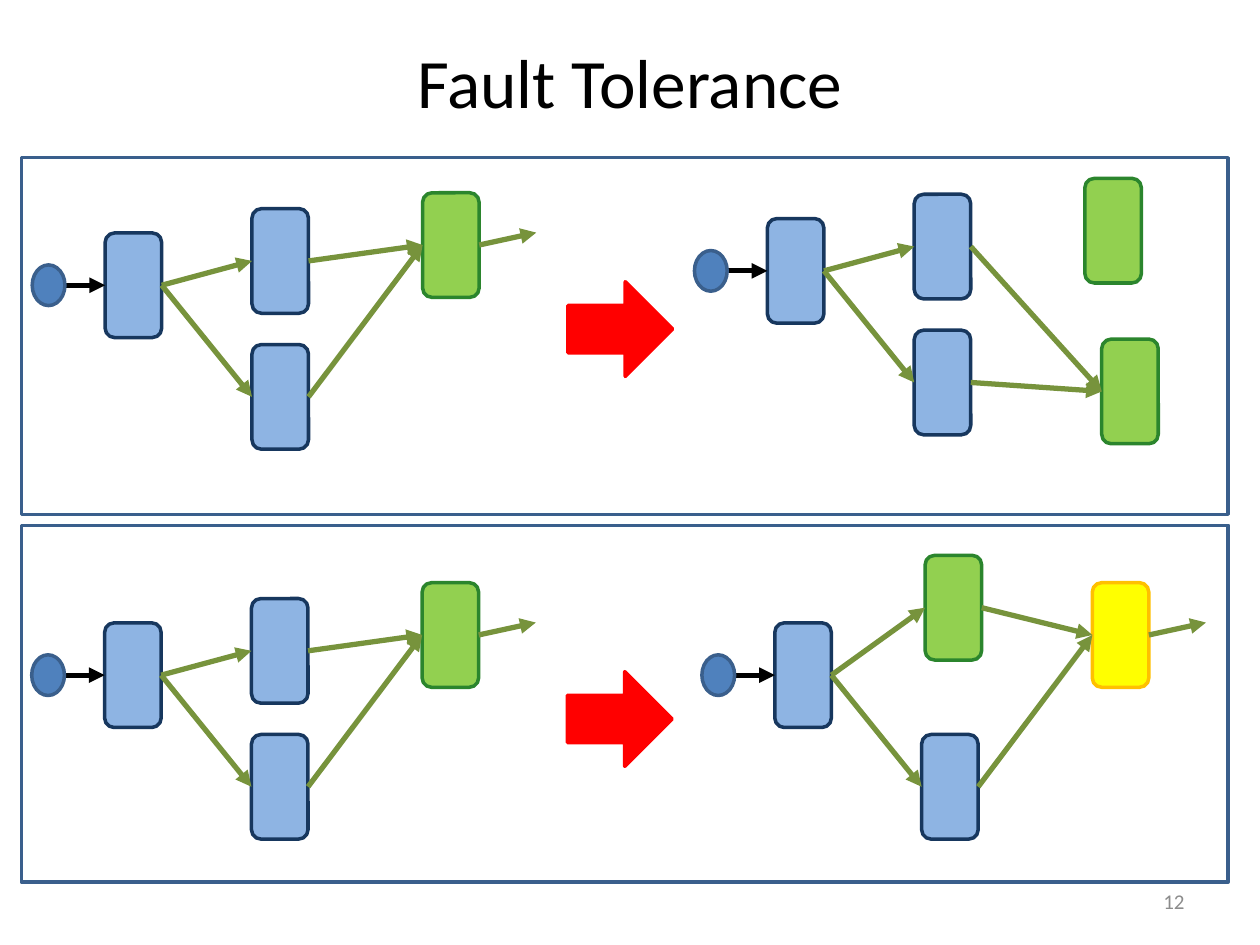
from dataclasses import dataclass

from lxml import etree
from pptx import Presentation
from pptx import util as u
from pptx.dml import color
from pptx.enum import shapes, text
from pptx.oxml import ns


@dataclass(frozen=True)
class Theme:
    font: str = "Calibri"
    title_size: float = 39.6
    number_size: float = 12
    outline: float = 2
    edge: float = 3
    black: str = "000000"
    grey: str = "8C8C8C"
    olive: str = "77933C"
    red: tuple = ("FF0000", "FF0000")
    source: tuple = ("4F81BD", "3A5F8C")
    blue: tuple = ("8EB4E3", "17375E")
    green: tuple = ("92D050", "2B852D")
    yellow: tuple = ("FFFF00", "FFC000")
    panel: tuple = (None, "3A5F8C")


NODE = (2.11, 1.14)
DOT = (0.82, 0.66)
PLACES = {
    "first": (1.71, 0),
    "upper": (4.67, -0.49),
    "raised": (4.74, -1.36),
    "lower": (4.67, 2.25),
    "last": (8.11, -0.81),
    "spare": (8.45, 2.43),
}
FORK = [("first", "upper"), ("first", "lower")]
JOIN = [("upper", "last"), ("lower", "last")]


class Painter:
    def __init__(self, page, theme):
        self.page = page
        self.theme = theme

    def apply(self, target, values):
        for name, value in values.items():
            setattr(target, name, value)

    def shape(self, kind, left, top, width, height, colours, rotation=0):
        box = self.page.shapes.add_shape(kind, u.Cm(left), u.Cm(top), u.Cm(width), u.Cm(height))
        fill, line = colours
        if fill:
            box.fill.solid()
            box.fill.fore_color.rgb = color.RGBColor.from_string(fill)
        else:
            box.fill.background()
        box.line.color.rgb = color.RGBColor.from_string(line)
        box.line.width = u.Pt(self.theme.outline)
        box.shadow.inherit = False
        box.rotation = rotation

    def upright(self, kind, centre, size, colours):
        (x, y), (width, height) = centre, size
        self.shape(kind, x - width / 2, y - height / 2, width, height, colours, 270)

    def arrow(self, start, end, colour):
        line = self.page.shapes.add_connector(
            shapes.MSO_CONNECTOR.STRAIGHT, *(u.Cm(value) for value in (*start, *end)))
        line.line.color.rgb = color.RGBColor.from_string(colour)
        line.line.width = u.Pt(self.theme.edge)
        etree.SubElement(line.line._get_or_add_ln(), ns.qn("a:tailEnd"), type="triangle")
        etree.SubElement(line._element.spPr, ns.qn("a:effectLst"))

    def label(self, words, left, top, width, height, size, colour, align):
        box = self.page.shapes.add_textbox(u.Cm(left), u.Cm(top), u.Cm(width), u.Cm(height))
        self.apply(box.text_frame, {"word_wrap": True, "vertical_anchor": text.MSO_ANCHOR.MIDDLE})
        para = box.text_frame.paragraphs[0]
        para.alignment = align
        span = para.add_run()
        span.text = words
        self.apply(span.font, {"name": self.theme.font, "size": u.Pt(size)})
        span.font.color.rgb = color.RGBColor.from_string(colour)

    def graph(self, x, y, nodes, edges, output=None):
        centres = {name: (x + PLACES[name][0], y + PLACES[name][1]) for name in nodes}
        half = NODE[1] / 2

        def left_of(name):
            return centres[name][0] - half, centres[name][1]

        def right_of(name):
            return centres[name][0] + half, centres[name][1]

        for name, colours in nodes.items():
            self.upright(shapes.MSO_SHAPE.ROUNDED_RECTANGLE, centres[name], NODE, colours)
        self.arrow((x + DOT[1] / 2, y), left_of("first"), self.theme.black)
        for start, end in edges:
            self.arrow(right_of(start), left_of(end), self.theme.olive)
        if output:
            out_x, out_y = right_of(output)
            self.arrow((out_x, out_y), (out_x + 1.15, out_y - 0.25), self.theme.olive)
        self.upright(shapes.MSO_SHAPE.OVAL, (x, y), DOT, self.theme.source)


def main():
    deck = Presentation()
    deck.slide_width, deck.slide_height = u.Cm(25.4), u.Cm(19.05)
    theme = Theme()
    painter = Painter(deck.slides.add_slide(deck.slide_layouts[6]), theme)

    painter.label("Fault Tolerance", 1.27, 0.64, 22.86, 1.98,
                  theme.title_size, theme.black, text.PP_ALIGN.CENTER)

    workers = dict.fromkeys(("first", "upper", "lower"), theme.blue)
    healthy = {**workers, "last": theme.green}
    rerouted = {**healthy, "spare": theme.green}
    replaced = {"first": theme.blue, "raised": theme.green,
                "lower": theme.blue, "last": theme.yellow}

    for x, y in ((0.98, 5.75), (0.97, 13.61)):
        painter.graph(x, y, healthy, FORK + JOIN, "last")
        painter.shape(shapes.MSO_SHAPE.RIGHT_ARROW, x + 10.47, y - 0.07, 2.11, 1.91, theme.red)
    painter.graph(14.33, 5.46, rerouted, FORK + [("lower", "spare"), ("upper", "spare")])
    painter.graph(14.48, 13.61, replaced,
                  [("first", "raised"), ("first", "lower"), ("raised", "last"), ("lower", "last")],
                  "last")

    for top in (3.18, 10.59):
        painter.shape(shapes.MSO_SHAPE.RECTANGLE, 0.43, top, 24.33, 7.19, theme.panel)

    painter.label("12", 18.21, 17.65, 5.92, 1.02,
                  theme.number_size, theme.grey, text.PP_ALIGN.RIGHT)
    deck.save("out.pptx")


if __name__ == "__main__":
    main()
